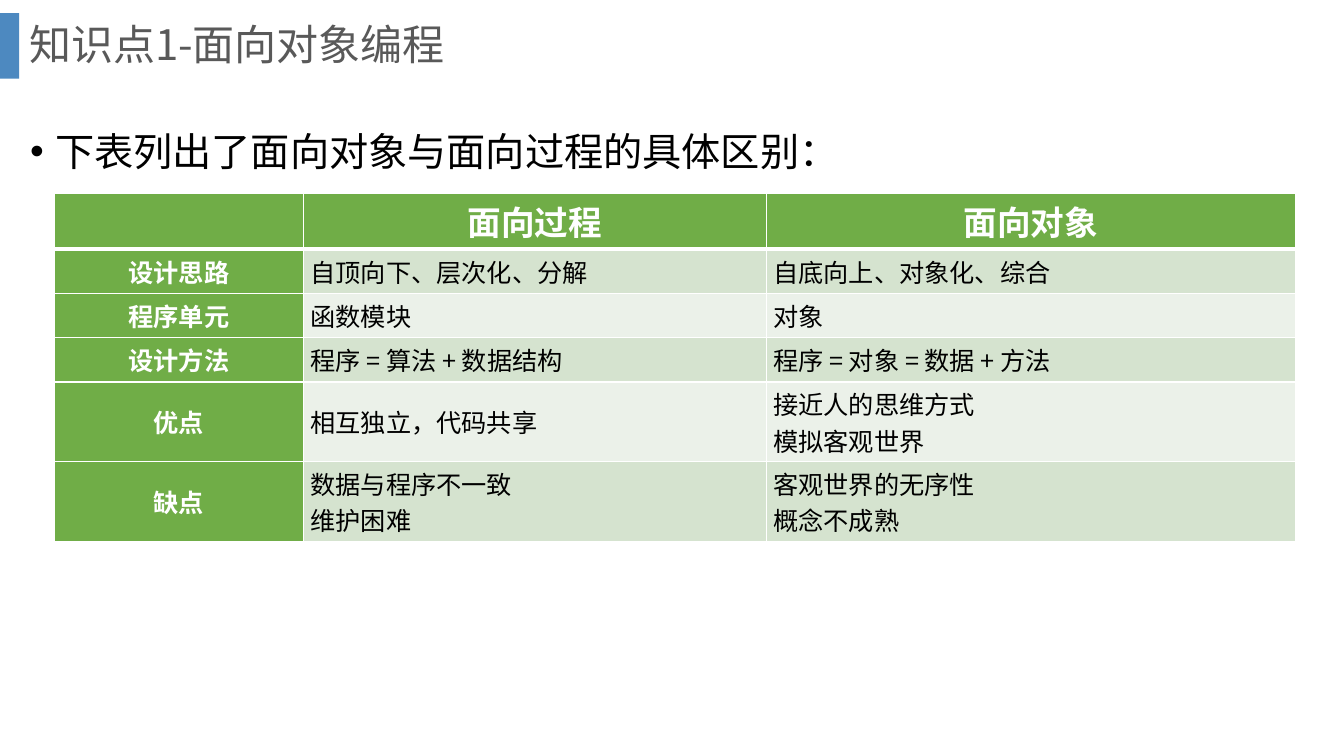
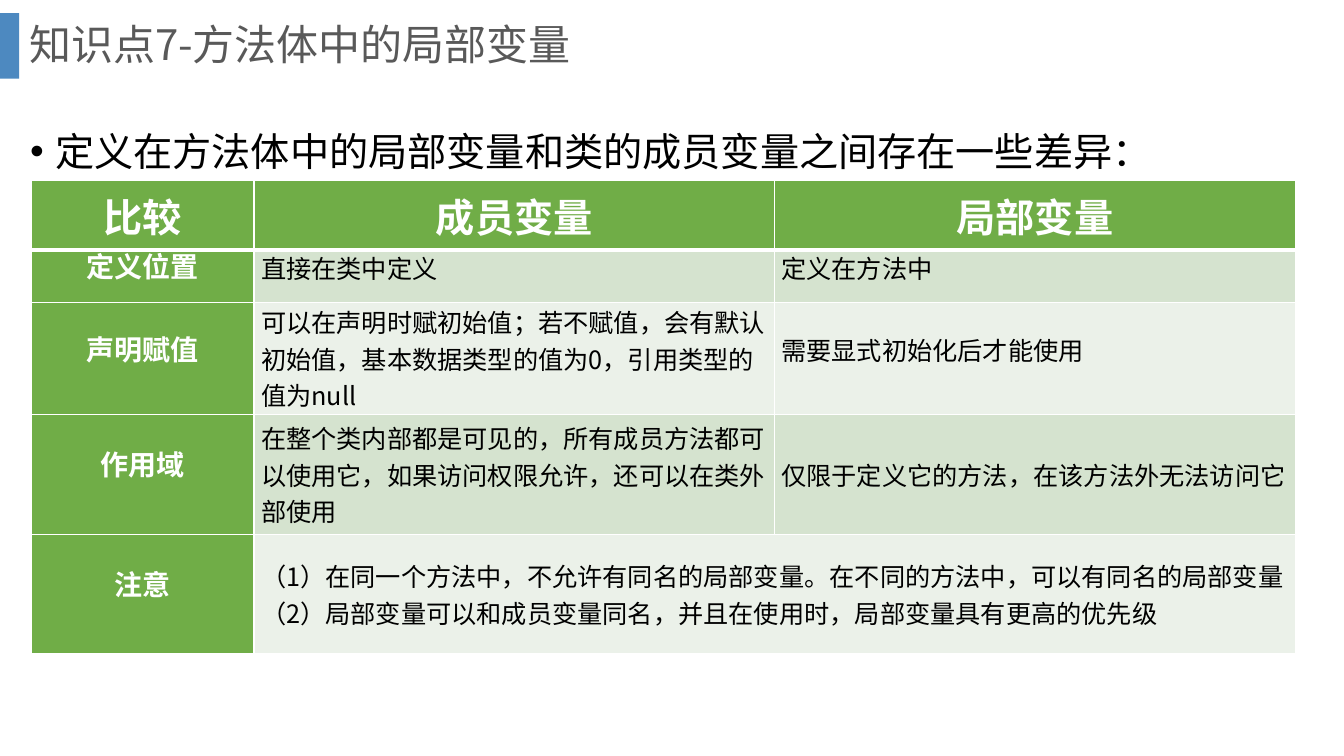
import dataclasses

import lxml.etree
import pptx
import pptx.dml.color
import pptx.enum.shapes
import pptx.enum.text
import pptx.oxml.ns
import pptx.util

PX = 9144  # EMU in one px, at 100 px to the inch
FONT = "Noto Sans CJK SC"
COLORS = {
    "accent": "2E75B6",
    "title": "595959",
    "text": "000000",
    "white": "FFFFFF",
    "green": "70AD47",
    "band_dark": "D5E3CF",
    "band_light": "EBF1E9",
}
HEADER_INSET_Y = 3
ALIGN = pptx.enum.text.PP_ALIGN
ANCHOR = pptx.enum.text.MSO_ANCHOR
qn = pptx.oxml.ns.qn


@dataclasses.dataclass(frozen=True)
class Comparison:
    """A table with a header row and a header column."""
    left: int
    top: int
    cols: list[int]
    heights: list[int]
    rows: list[list[str]]
    header_size: int
    label_size: int
    align: ALIGN
    inset_y: int
    tight: frozenset[tuple[int, int]] = frozenset()  # cells with 14 pt lines
    merges: tuple[tuple[int, int, int, int], ...] = ()


@dataclasses.dataclass(frozen=True)
class Page:
    title: str
    lead: str
    table: Comparison


PAGES = [
    Page(
        "知识点1-面向对象编程",
        "下表列出了面向对象与面向过程的具体区别：",
        Comparison(
            left=54, top=192, cols=[247, 459, 525],
            heights=[55, 44, 44, 44, 79, 79],
            rows=[
                ["", "面向过程", "面向对象"],
                ["设计思路", "自顶向下、层次化、分解", "自底向上、对象化、综合"],
                ["程序单元", "函数模块", "对象"],
                ["设计方法", "程序 = 算法 + 数据结构", "程序 = 对象 = 数据 + 方法"],
                ["优点", "相互独立，代码共享", "接近人的思维方式\n模拟客观世界"],
                ["缺点", "数据与程序不一致\n维护困难", "客观世界的无序性\n概念不成熟"],
            ],
            header_size=24, label_size=18, align=ALIGN.JUSTIFY, inset_y=3,
        ),
    ),
    Page(
        "知识点7-方法体中的局部变量",
        "定义在方法体中的局部变量和类的成员变量之间存在一些差异：",
        Comparison(
            left=31, top=179, cols=[221, 516, 517],
            heights=[69, 52, 111, 119, 119],
            rows=[
                ["比较", "成员变量", "局部变量"],
                ["定义位置", "直接在类中定义", "定义在方法中"],
                ["声明赋值",
                 "可以在声明时赋初始值；若不赋值，会有默认初始值，"
                 "基本数据类型的值为0，引用类型的值为null",
                 "需要显式初始化后才能使用"],
                ["作用域",
                 "在整个类内部都是可见的，所有成员方法都可以使用它，"
                 "如果访问权限允许，还可以在类外部使用",
                 "仅限于定义它的方法，在该方法外无法访问它"],
                ["注意",
                 "（1）在同一个方法中，不允许有同名的局部变量。"
                 "在不同的方法中，可以有同名的局部变量\n"
                 "（2）局部变量可以和成员变量同名，并且在使用时，"
                 "局部变量具有更高的优先级",
                 ""],
            ],
            header_size=28, label_size=20, align=ALIGN.LEFT, inset_y=0,
            tight=frozenset({(1, 0), (1, 1), (1, 2), (2, 0), (2, 2), (3, 0), (4, 0)}),
            merges=((4, 1, 4, 2),),
        ),
    ),
]


def rgb(name: str) -> pptx.dml.color.RGBColor:
    return pptx.dml.color.RGBColor.from_string(COLORS[name])


def add_xml(parent, tag: str, **attrs: str):
    return lxml.etree.SubElement(parent, qn(tag), attrs)


def write(tf, text: str, size: int, color: str, bold: bool = False, **para) -> None:
    """Fill a text frame, one paragraph a line, with the paragraph format given."""
    for i, line in enumerate(text.split("\n")):
        p = tf.add_paragraph() if i else tf.paragraphs[0]
        for key, value in para.items():
            setattr(p, key, value)
        r = p.add_run()
        r.text = line
        font = {"size": pptx.util.Pt(size), "bold": bold, "name": FONT}
        for key, value in font.items():
            setattr(r.font, key, value)
        r.font.color.rgb = rgb(color)
        add_xml(r.font._element, "a:ea", typeface=FONT)


def add_text_box(s, left: int, top: int, width: int, height: int, anchor: ANCHOR):
    tf = s.shapes.add_textbox(left * PX, top * PX, width * PX, height * PX).text_frame
    tf.word_wrap = True
    tf.vertical_anchor = anchor
    return tf


def add_title(s, title: str) -> None:
    """Draw the accent bar at the slide's edge and the title beside it."""
    bar = s.shapes.add_shape(
        pptx.enum.shapes.MSO_SHAPE.RECTANGLE, 0, 13 * PX, 19 * PX, 65 * PX)
    bar.shadow.inherit = False
    bar.fill.solid()
    bar.fill.fore_color.rgb = rgb("accent")
    bar.line.fill.background()
    add_xml(bar.element.spPr.find(".//" + qn("a:srgbClr")), "a:alpha", val="85000")
    tf = add_text_box(s, 19, 0, 1266, 93, ANCHOR.MIDDLE)
    write(tf, title, 30, "title", line_spacing=0.9)


def add_lead(s, lead: str) -> None:
    tf = add_text_box(s, 20, 98, 1290, 596, ANCHOR.TOP)
    write(tf, lead, 28, "text", line_spacing=1.5, space_before=pptx.util.Pt(10))
    pPr = tf.paragraphs[0]._p.get_or_add_pPr()
    pPr.set("marL", str(25 * PX))
    pPr.set("indent", str(-25 * PX))
    add_xml(pPr, "a:buFont", typeface="Arial")
    add_xml(pPr, "a:buChar", char="•")


def set_borders(cell, row: int) -> None:
    """Draw white borders, thick between the header row and the first row."""
    widths = {"L": 1, "R": 1, "T": 3 if row == 1 else 1, "B": 3 if row == 0 else 1}
    tcPr = cell._tc.get_or_add_tcPr()
    for side, width in widths.items():
        ln = add_xml(tcPr, f"a:ln{side}", w=str(pptx.util.Pt(width)))
        add_xml(add_xml(ln, "a:solidFill"), "a:srgbClr", val=COLORS["white"])


def add_comparison(s, t: Comparison) -> None:
    table = s.shapes.add_table(
        len(t.rows), len(t.cols), t.left * PX, t.top * PX,
        sum(t.cols) * PX, sum(t.heights) * PX).table
    table.horz_banding = False
    for column, width in zip(table.columns, t.cols):
        column.width = width * PX
    for row, height in zip(table.rows, t.heights):
        row.height = height * PX

    for i, texts in enumerate(t.rows):
        for j, text in enumerate(texts):
            cell = table.cell(i, j)
            inset_y = t.inset_y if i else HEADER_INSET_Y
            layout = {
                "vertical_anchor": ANCHOR.MIDDLE,
                "margin_left": 7 * PX, "margin_right": 7 * PX,
                "margin_top": inset_y * PX, "margin_bottom": inset_y * PX,
            }
            for key, value in layout.items():
                setattr(cell, key, value)
            is_head = i == 0 or j == 0
            set_borders(cell, i)
            cell.fill.solid()
            band = "band_dark" if i % 2 else "band_light"
            cell.fill.fore_color.rgb = rgb("green" if is_head else band)
            if not text:
                continue
            size = t.header_size if i == 0 else t.label_size if j == 0 else 18
            write(
                cell.text_frame, text, size, "white" if is_head else "text", is_head,
                alignment=ALIGN.CENTER if is_head else t.align,
                line_spacing=pptx.util.Pt(14) if (i, j) in t.tight else None)

    for top, left, bottom, right in t.merges:
        table.cell(top, left).merge(table.cell(bottom, right))


def main() -> None:
    prs = pptx.Presentation()
    prs.slide_width, prs.slide_height = 1333 * PX, 750 * PX
    for page in PAGES:
        s = prs.slides.add_slide(prs.slide_layouts[6])
        add_title(s, page.title)
        add_lead(s, page.lead)
        add_comparison(s, page.table)
    prs.save("out.pptx")


if __name__ == "__main__":
    main()
